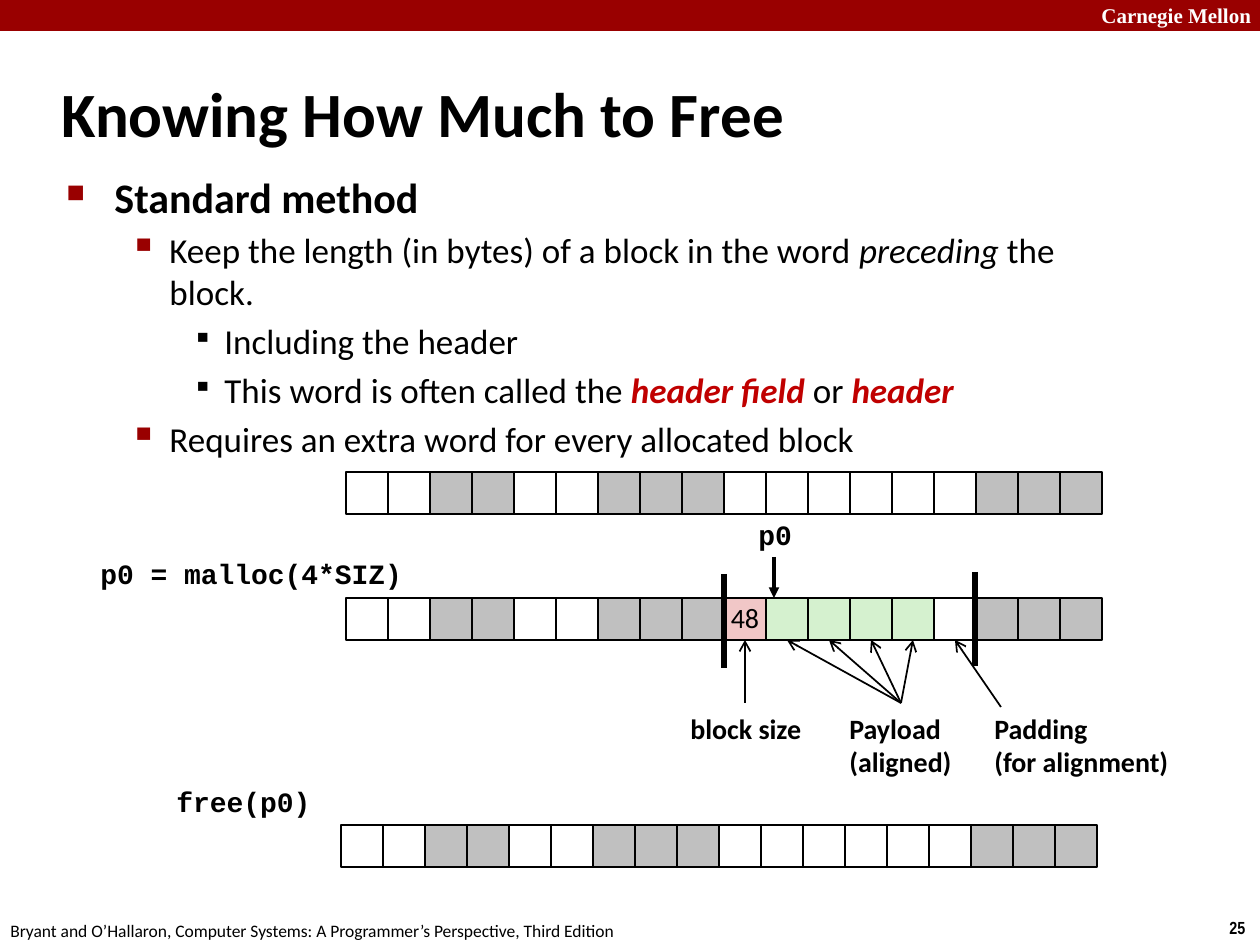
from dataclasses import dataclass
from lxml.etree import SubElement
from pptx import Presentation
from pptx.dml.color import RGBColor
from pptx.enum.shapes import MSO_CONNECTOR as Connector, MSO_SHAPE as Shape
from pptx.enum.text import MSO_ANCHOR as Anchor, MSO_AUTO_SIZE as AutoSize, PP_ALIGN as Align
from pptx.oxml.ns import qn
from pptx.util import Pt

SCALE = 914400 / 126
CELL = 42
BOTTOM = 2


@dataclass(frozen=True)
class Theme:
    black: str = "000000"
    white: str = "FFFFFF"
    banner: str = "990000"
    emphasis: str = "C00000"
    used: str = "C0C0C0"
    used_next: str = "BFBFBF"
    header: str = "F1C7C7"
    payload: str = "D5F1CF"
    sans: str = "Calibri"
    code: str = "Courier New"
    serif: str = "Times New Roman"
    narrow: str = "Arial Narrow"
    title: int = 36
    heading: int = 24
    body: int = 20
    label: int = 16
    brand: int = 12
    footer: int = 10


THEME = Theme()
FILLS = {"W": THEME.white, "G": THEME.used, "N": THEME.used_next,
         "H": THEME.header, "P": THEME.payload}
BULLETS = {
    0: ("■", THEME.banner, 60, 48, 48),
    1: ("▪", THEME.banner, 110, 103, 40),
    2: ("▪", THEME.black, 80, 158, 32),
}
STRONG = {"bold": True, "italic": True, "color": THEME.emphasis}
OUTLINE = [
    (0, THEME.heading, [("Standard method", {"bold": True})]),
    (1, THEME.body, [("Keep the length (in bytes) of a block in the word ", {}),
                     ("preceding", {"italic": True}), (" the block.", {})]),
    (2, THEME.body, [("Including the header", {})]),
    (2, THEME.body, [("This word is often called the ", {}), ("header field ", STRONG),
                     ("or ", {}), ("header", STRONG)]),
    (1, THEME.body, [("Requires an extra word for every allocated block", {})]),
]


def px(length):
    return round(length * SCALE)


def rgb(color):
    return RGBColor.from_string(color)


def set_all(target, values):
    for name, value in values.items():
        setattr(target, name, value)


def add_span(para, text, size, font=THEME.sans, color=THEME.black, bold=False, italic=False):
    for index, line in enumerate(text.split("\n")):
        if index:
            para.add_line_break()
        span = para.add_run()
        span.text = line
        set_all(span.font, {"size": Pt(size), "name": font, "bold": bold, "italic": italic})
        span.font.color.rgb = rgb(color)


def add_box(page, left, top, width, height, **frame):
    box = page.shapes.add_textbox(px(left), px(top), px(width), px(height))
    set_all(box.text_frame, {"word_wrap": True, **frame})
    return box.text_frame


def add_label(page, place, lines, size, spacing=1.0, **style):
    frame = add_box(page, *place, word_wrap=False, auto_size=AutoSize.SHAPE_TO_FIT_TEXT)
    for index, line in enumerate(lines):
        para = frame.add_paragraph() if index else frame.paragraphs[0]
        para.line_spacing = spacing
        add_span(para, line, size, **style)


def add_bullet(para, level):
    mark, color, percent, margin, hang = BULLETS[level]
    para.level = level
    props = para._p.get_or_add_pPr()
    props.set("marL", str(px(margin)))
    props.set("indent", str(-px(hang)))
    SubElement(SubElement(props, qn("a:buClr")), qn("a:srgbClr"), val=color)
    SubElement(props, qn("a:buSzPct"), val=str(percent * 1000))
    SubElement(props, qn("a:buChar"), char=mark)


def add_outline(page):
    frame = add_box(page, 54, 165, 1089, 708)
    for index, (level, size, spans) in enumerate(OUTLINE):
        para = frame.add_paragraph() if index else frame.paragraphs[0]
        add_bullet(para, level)
        if index:
            para.space_before = Pt(size * 0.2)
        for text, style in spans:
            add_span(para, text, size, **style)


def add_rect(shapes, left, top, width, height, fill, outlined=True):
    rect = shapes.add_shape(Shape.RECTANGLE, px(left), px(top), px(width), px(height))
    rect.shadow.inherit = False
    rect.fill.solid()
    rect.fill.fore_color.rgb = rgb(fill)
    if outlined:
        rect.line.color.rgb = rgb(THEME.black)
        rect.line.width = Pt(1)
    else:
        rect.line.fill.background()
    return rect


def add_row(shapes, left, top, pattern):
    return [add_rect(shapes, left + index * CELL, top, CELL, CELL, FILLS[kind])
            for index, kind in enumerate(pattern)]


def add_line(page, start, end, width, head=None, target=None):
    line = page.shapes.add_connector(Connector.STRAIGHT, *map(px, start + end))
    line.line.color.rgb = rgb(THEME.black)
    line.line.width = Pt(width)
    if head:
        SubElement(line.line._get_or_add_ln(), qn("a:tailEnd"), type=head)
    SubElement(line._element.spPr, qn("a:effectLst"))
    if target is not None:
        line.end_connect(target, BOTTOM)


def add_size_value(cell):
    frame = cell.text_frame
    set_all(frame, {"word_wrap": False, "vertical_anchor": Anchor.MIDDLE})
    para = frame.paragraphs[0]
    set_all(para, {"alignment": Align.CENTER, "line_spacing": 0.98})
    add_span(para, "48", THEME.label)


def add_frame(page):
    add_rect(page.shapes, 0, 0, 1260, 31, THEME.banner, outlined=False)
    add_label(page, (1089, -4, 180, 38), ["Carnegie Mellon"], THEME.brand,
              font=THEME.serif, color=THEME.white, bold=True)
    add_label(page, (1217, 911, 43, 34), ["25"], THEME.footer, font=THEME.narrow, bold=True)
    add_label(page, (-2, 914, 640, 34),
              ["Bryant and O’Hallaron, Computer Systems: A Programmer’s Perspective, Third Edition"],
              THEME.footer)
    title = add_box(page, 49, 60, 1046, 105, vertical_anchor=Anchor.MIDDLE)
    add_span(title.paragraphs[0], "Knowing How Much to Free", THEME.title, bold=True)


def add_heap(page):
    before, after = "WWGGWWGGGWWWWWWNGG", "WWGGWWGGGHPPPPWNGG"
    add_row(page.shapes, 346, 472, before)
    cells = add_row(page.shapes, 346, 598, after)
    add_row(page.shapes.add_group_shape().shapes, 341, 825, before)
    add_size_value(cells[9])
    for x, top in ((724, 574), (975, 572)):
        add_line(page, (x, top), (x, top + 94), 3)
    add_line(page, (774, 557), (774, 598), 2, "triangle")
    starts = {9: (745, 703), **dict.fromkeys(range(10, 14), (901, 703)), 14: (1001, 707)}
    for index, start in starts.items():
        end = (346 + index * CELL + CELL // 2, 598 + CELL)
        add_line(page, start, end, 1, "arrow", cells[index])


def add_labels(page):
    for text, place in (("p0 = malloc(4*SIZ)", (88, 553, 331, 45)),
                        ("p0", (746, 514, 59, 45)),
                        ("free(p0)", (164, 781, 161, 45))):
        add_label(page, place, [text], THEME.label, 0.94, font=THEME.code, bold=True)
    for lines, place in ((["block size"], (678, 707, 137, 47)),
                         (["Payload\n(aligned)"], (837, 707, 128, 79)),
                         (["Padding", "(for alignment)"], (982, 707, 202, 79))):
        add_label(page, place, lines, THEME.label, 0.98, bold=True)


def main():
    deck = Presentation()
    set_all(deck, {"slide_width": px(1260), "slide_height": px(945)})
    page = deck.slides.add_slide(deck.slide_layouts[6])
    add_frame(page)
    add_outline(page)
    add_heap(page)
    add_labels(page)
    deck.save("out.pptx")


if __name__ == "__main__":
    main()
